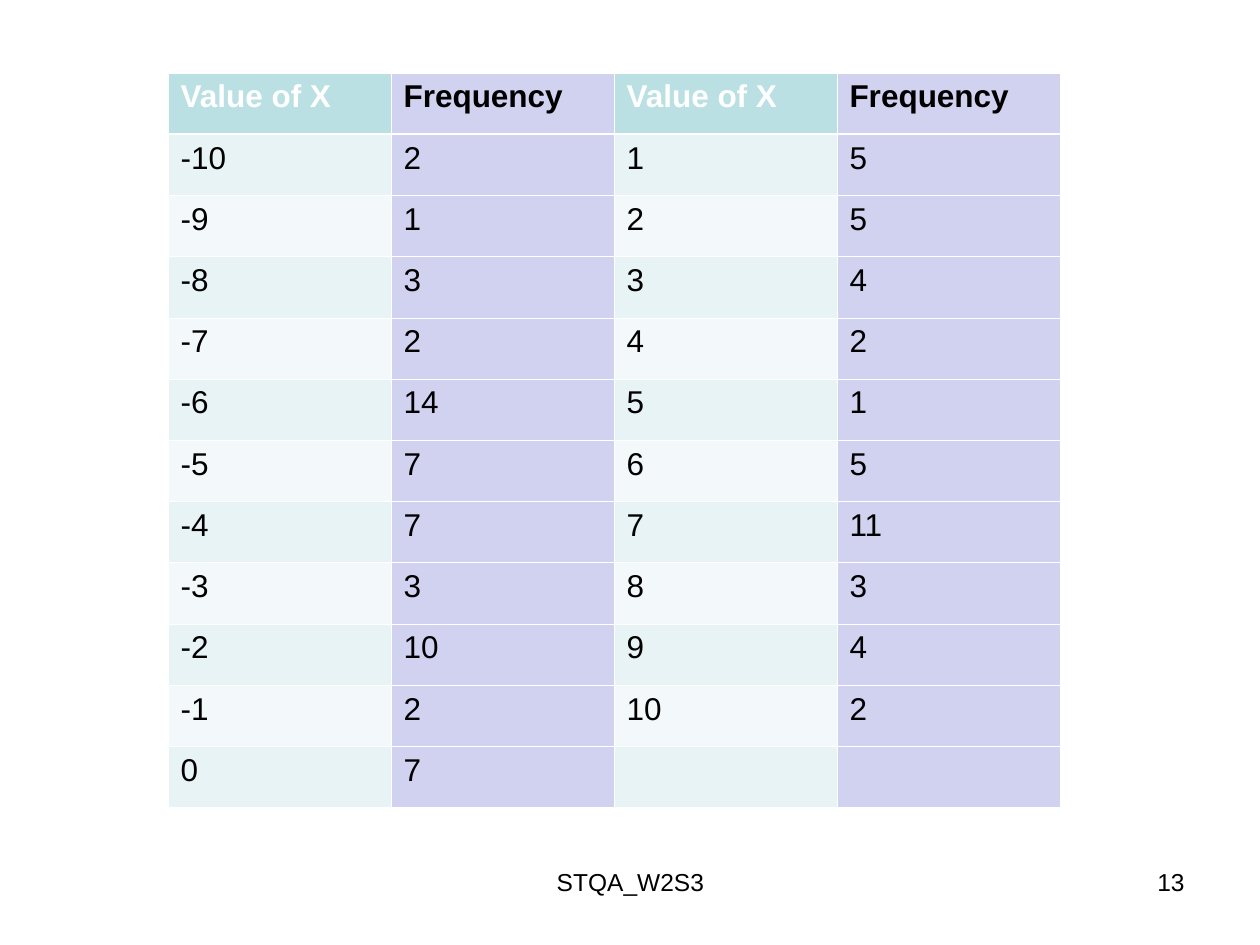
from itertools import zip_longest

from lxml import etree
from pptx import Presentation
from pptx.dml.color import RGBColor
from pptx.enum.text import PP_ALIGN
from pptx.oxml.ns import qn
from pptx.util import Emu, Pt

CENTER = PP_ALIGN.CENTER
RIGHT = PP_ALIGN.RIGHT
FONT = "Arial"
THIN = 0.45
THICK = 1.47
COLORS = {
    "white": "FFFFFF",
    "black": "000000",
    "head": "BBE0E3",
    "odd": "E7F3F4",
    "even": "F3F9FA",
    "freq": "D1D1F0",
}
HEADS = ["Value of X", "Frequency"] * 2
LOW = [2, 1, 3, 2, 14, 7, 7, 3, 10, 2, 7]
HIGH = [5, 5, 4, 2, 1, 5, 11, 3, 4, 2]


def px(num):
    return Emu(num * 914400 // 126)


def rgb(name):
    return RGBColor.from_string(COLORS[name])


def add_run(para, text, size, color="black", bold=False):
    run = para.add_run()
    run.text = text
    run.font.name = FONT
    run.font.size = Pt(size)
    run.font.bold = bold
    run.font.color.rgb = rgb(color)


def add_edge(cell, side, width):
    props = cell._tc.get_or_add_tcPr()
    line = etree.SubElement(props, qn(f"a:ln{side}"), w=str(Pt(width)))
    fill = etree.SubElement(line, qn("a:solidFill"))
    etree.SubElement(fill, qn("a:srgbClr"), val=COLORS["white"])


def fill_cell(cell, row, col, text):
    top = THICK if row == 1 else THIN
    base = THICK if row == 0 else THIN
    for side, width in (("L", THIN), ("R", THIN), ("T", top), ("B", base)):
        add_edge(cell, side, width)
    if col % 2:
        shade = "freq"
    elif row == 0:
        shade = "head"
    else:
        shade = "odd" if row % 2 else "even"
    cell.fill.solid()
    cell.fill.fore_color.rgb = rgb(shade)
    if text:
        color = "white" if shade == "head" else "black"
        add_run(cell.text_frame.paragraphs[0], text, 18, color, row == 0)


def add_grid(slide, rows, left, top, width, height):
    frame = slide.shapes.add_table(
        len(rows), len(rows[0]), px(left), px(top), px(width), px(height)
    )
    for row, texts in enumerate(rows):
        for col, text in enumerate(texts):
            fill_cell(frame.table.cell(row, col), row, col, text)


def add_label(slide, text, left, width, align):
    box = slide.shapes.add_textbox(px(left), px(861), px(width), px(65))
    box.text_frame.word_wrap = True
    para = box.text_frame.paragraphs[0]
    para.alignment = align
    add_run(para, text, 14)


def get_rows():
    low = enumerate(LOW, -10)
    high = enumerate(HIGH, 1)
    pairs = zip_longest(low, high, fillvalue=("", ""))
    return [HEADS] + [[str(num) for num in a + b] for a, b in pairs]


def main():
    deck = Presentation()
    deck.slide_width = px(1260)
    deck.slide_height = px(945)
    slide = deck.slides.add_slide(deck.slide_layouts[6])
    add_grid(slide, get_rows(), 168, 73, 892, 735)
    add_label(slide, "STQA_W2S3", 431, 399, CENTER)
    add_label(slide, "13", 903, 294, RIGHT)
    deck.save("out.pptx")


if __name__ == "__main__":
    main()
